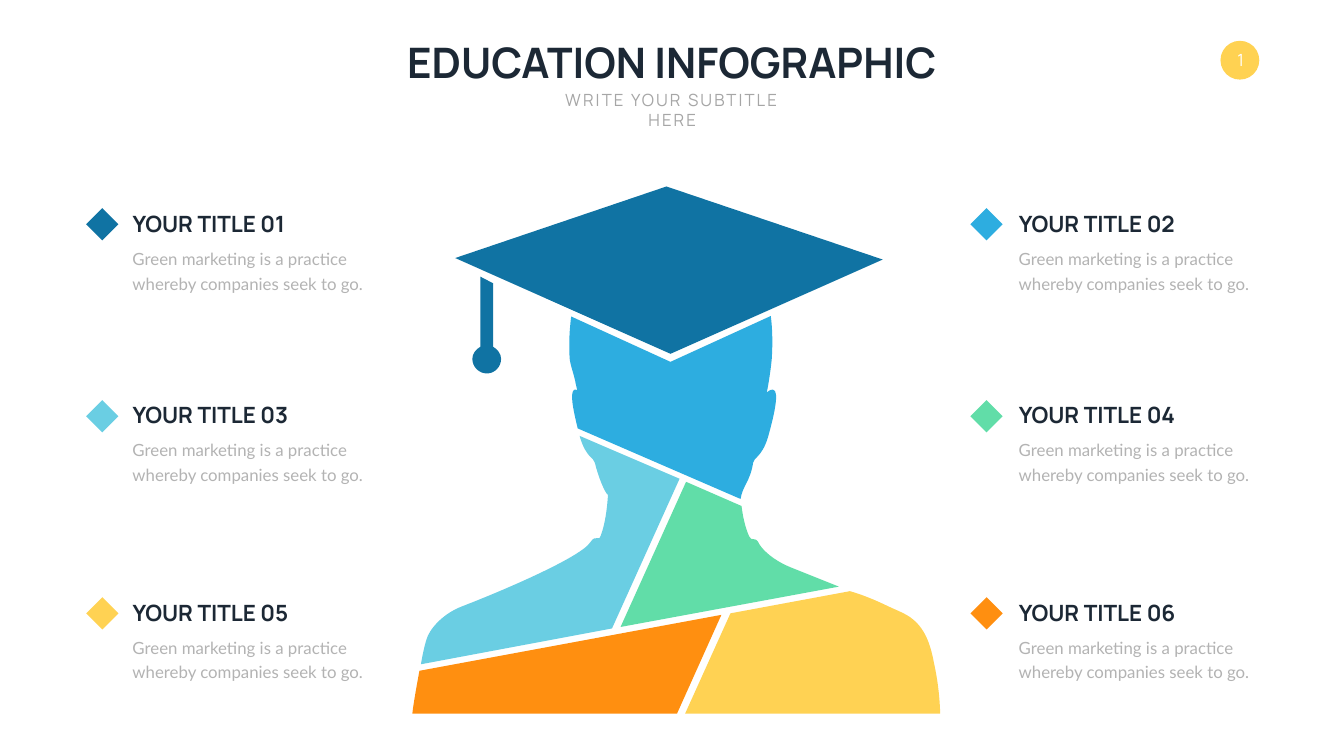
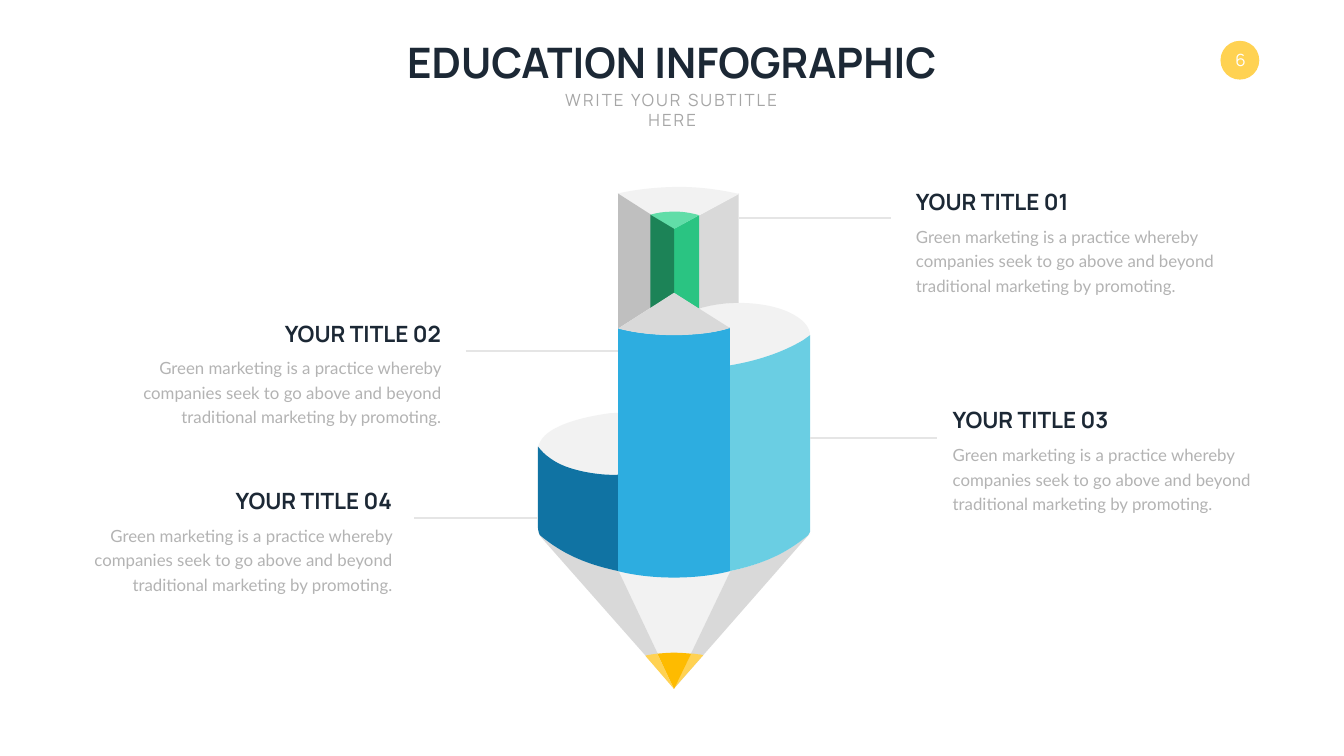
from lxml.etree import SubElement
from pptx import Presentation
from pptx.dml.color import RGBColor
from pptx.enum.shapes import MSO_CONNECTOR, MSO_SHAPE
from pptx.enum.text import MSO_ANCHOR, MSO_AUTO_SIZE, PP_ALIGN
from pptx.oxml.ns import qn
from pptx.util import Inches, Pt

COLOURS = {
    "navy": "1C2835", "subtitle": "A6A6A6", "body": "B3B3B3", "white": "FFFFFF",
    "badge": "FFD252", "rule": "E5E5E5",
    "blue": "1073A3", "sky": "2DADE0", "aqua": "6ACEE3", "mint": "61DDA8",
    "yellow": "FFD253", "orange": "FF8F10", "amber": "FEBB00",
    "green": "2AC482", "forest": "1C8357",
    "pale": "F2F2F2", "silver": "D9D9D9", "grey": "BFBFBF",
}

# Font values and colour for each level of text
STYLES = {
    "title": ({"name": "Manrope", "size": Pt(60), "bold": True}, "navy"),
    "subtitle": ({"name": "Manrope", "size": Pt(24)}, "subtitle"),
    "number": ({"name": "Manrope", "size": Pt(24)}, "white"),
    "heading": ({"name": "Manrope", "size": Pt(32), "bold": True}, "navy"),
    "body": ({"name": "Lato", "size": Pt(24)}, "body"),
}

SHORT_TEXT = "Green marketing is a practice whereby companies seek to go."
LONG_TEXT = ("Green marketing is a practice whereby companies seek to go above "
             "and beyond traditional marketing by promoting.")

# Outlines: a start point, then lines (x, y) and curves (x1, y1, x2, y2, x, y)
CAP = [(13.22, 3.7), (9.03, 5.12), (13.3, 7.02), (17.51, 5.15)]
TASSEL = [
    (9.53, 5.49), (9.53, 6.88), (9.44, 6.93, 9.37, 7.02, 9.37, 7.12),
    (9.37, 7.28, 9.5, 7.41, 9.66, 7.41), (9.81, 7.41, 9.94, 7.28, 9.94, 7.12),
    (9.94, 7.02, 9.87, 6.93, 9.78, 6.88), (9.78, 5.62),
]
FACE = [
    (15.29, 6.27), (13.3, 7.18), (11.33, 6.28),
    (11.3, 6.53, 11.28, 6.8, 11.3, 7.11), (11.31, 7.24, 11.4, 7.47, 11.42, 7.61),
    (11.43, 7.68, 11.44, 7.68, 11.45, 7.74), (11.44, 7.73, 11.38, 7.71, 11.36, 7.78),
    (11.32, 7.9, 11.39, 8.21, 11.46, 8.5), (14.69, 9.9),
    (14.73, 9.64, 14.88, 9.56, 14.94, 9.18), (14.95, 9.08, 15.11, 9.07, 15.23, 8.69),
    (15.34, 8.3, 15.48, 7.74, 15.33, 7.73), (15.32, 7.73, 15.3, 7.73, 15.28, 7.74),
    (15.26, 7.75, 15.23, 7.77, 15.21, 7.79), (15.24, 7.65, 15.29, 7.34, 15.31, 7.11),
    (15.33, 6.78, 15.32, 6.5, 15.29, 6.27),
]
LEFT_SHOULDER = [
    (11.5, 8.65), (11.51, 8.66, 11.51, 8.67, 11.51, 8.69),
    (11.63, 9.08, 11.78, 9.08, 11.8, 9.18), (11.87, 9.47, 12, 9.78, 12.06, 9.82),
    (12.06, 9.82, 12.04, 10.3, 11.92, 10.62),
    (11.87, 10.77, 11.83, 10.58, 11.71, 10.76),
    (11.53, 11.04, 10.15, 11.65, 9.17, 12.03), (8.77, 12.18, 8.51, 12.5, 8.46, 12.69),
    (8.42, 12.82, 8.38, 13, 8.35, 13.18), (12.14, 12.47), (13.48, 9.5),
]
RIGHT_SHOULDER = [
    (13.61, 9.56), (12.31, 12.44), (16.64, 11.64),
    (16.37, 11.53, 16.09, 11.42, 15.69, 11.26),
    (15.13, 11.03, 15.01, 10.7, 15.05, 10.77),
    (14.97, 10.63, 14.91, 10.76, 14.86, 10.64),
    (14.77, 10.44, 14.73, 10.2, 14.71, 10.04),
]
LEFT_CHEST = [
    (14.31, 12.2), (8.32, 13.31), (8.26, 13.64, 8.2, 13.97, 8.18, 14.16),
    (13.43, 14.16),
]
RIGHT_CHEST = [
    (16.86, 11.73), (14.49, 12.17), (13.59, 14.16), (18.65, 14.16),
    (18.64, 13.82, 18.6, 13.49, 18.53, 13.17),
    (18.47, 12.85, 18.38, 12.51, 18.11, 12.29),
    (17.98, 12.18, 17.81, 12.12, 17.64, 12.04),
    (17.41, 11.93, 17.17, 11.82, 16.86, 11.73),
]
STUDENT = [
    ("blue", [CAP, TASSEL]), ("sky", [FACE]), ("aqua", [LEFT_SHOULDER]),
    ("mint", [RIGHT_SHOULDER]), ("orange", [LEFT_CHEST]), ("yellow", [RIGHT_CHEST]),
]

# Pencil, from back to front
LEAD_BASE = [
    ("mint", [(13.44, 6.21), (13.25, 6.22, 13.07, 6.18, 12.89, 6.12), (13.37, 5.79),
              (13.88, 6.13), (13.74, 6.18, 13.59, 6.21, 13.44, 6.21)]),
]
CONE = [
    ("pale", [(12.26, 11.33), (12.98, 11.49, 13.77, 11.49, 14.49, 11.33),
              (13.38, 13.67)]),
    ("silver", [(16.07, 10.58), (13.38, 13.65), (14.49, 11.33),
                (14.91, 11.24, 15.32, 11.09, 15.67, 10.88),
                (15.81, 10.79, 15.94, 10.69, 16.07, 10.58)]),
    ("silver", [(10.68, 10.55), (10.69, 10.57, 10.69, 10.59, 10.7, 10.61),
                (10.72, 10.63, 10.73, 10.66, 10.75, 10.68), (13.37, 13.65),
                (12.27, 11.33), (12.06, 11.29, 11.84, 11.23, 11.64, 11.15),
                (11.44, 11.08, 11.25, 10.99, 11.08, 10.88),
                (10.93, 10.78, 10.8, 10.67, 10.68, 10.55)]),
]
TIP = [
    ("yellow", [(13.71, 12.97), (13.75, 12.97, 13.79, 12.97, 13.83, 12.98),
                (13.87, 12.98, 13.91, 12.99, 13.95, 13), (13.36, 13.67)]),
    ("amber", [(13.37, 12.95), (13.48, 12.95, 13.6, 12.96, 13.71, 12.97),
               (13.37, 13.67), (13.04, 12.97),
               (13.15, 12.96, 13.26, 12.95, 13.37, 12.95)]),
    ("yellow", [(13.04, 12.97), (13.37, 13.67), (12.8, 13.01),
                (12.88, 12.99, 12.96, 12.98, 13.04, 12.97)]),
]
LEFT_COLUMN = [
    ("pale", [(12.09, 8.2), (12.15, 8.2, 12.21, 8.19, 12.27, 8.19), (12.27, 9.45),
              (12.26, 9.45), (12.26, 9.42), (12.02, 9.43, 11.77, 9.4, 11.54, 9.35),
              (11.32, 9.3, 11.1, 9.23, 10.91, 9.09),
              (10.82, 9.03, 10.74, 8.95, 10.67, 8.87),
              (10.72, 8.7, 10.85, 8.57, 11.09, 8.46),
              (11.37, 8.33, 11.73, 8.25, 12.09, 8.2)]),
    ("blue", [(10.67, 8.86), (10.74, 8.95, 10.82, 9.03, 10.91, 9.09),
              (11.1, 9.23, 11.32, 9.3, 11.54, 9.35),
              (11.77, 9.4, 12.02, 9.43, 12.26, 9.42), (12.26, 11.33),
              (11.83, 11.24, 11.42, 11.1, 11.07, 10.88),
              (10.94, 10.8, 10.82, 10.71, 10.71, 10.62),
              (10.7, 10.6, 10.7, 10.59, 10.69, 10.57),
              (10.68, 10.54, 10.67, 10.5, 10.67, 10.46)]),
]
RIGHT_COLUMN = [
    ("pale", [(14.65, 6.01), (15.02, 6.01, 15.38, 6.07, 15.66, 6.2),
              (15.93, 6.33, 16.07, 6.49, 16.07, 6.66),
              (16.02, 6.69, 15.98, 6.73, 15.93, 6.76),
              (15.51, 7.01, 15, 7.17, 14.47, 7.26), (14.47, 6.51),
              (14.44, 6.52, 14.4, 6.54, 14.36, 6.55),
              (14.05, 6.62, 13.64, 6.66, 13.24, 6.65),
              (13.24, 6.49, 13.38, 6.32, 13.65, 6.2),
              (13.93, 6.07, 14.29, 6.01, 14.65, 6.01)]),
    ("aqua", [(16.07, 6.65), (16.07, 10.46),
              (16.07, 10.49, 16.08, 10.52, 16.07, 10.55),
              (16.06, 10.58, 16.05, 10.6, 16.03, 10.62),
              (15.92, 10.71, 15.8, 10.8, 15.67, 10.88),
              (15.32, 11.1, 14.91, 11.24, 14.48, 11.33), (14.48, 7.25),
              (15.01, 7.16, 15.51, 7, 15.93, 6.75),
              (15.98, 6.72, 16.02, 6.68, 16.07, 6.65)]),
]
TOP_COLUMN = [
    ("silver", [(14.65, 3.84), (14.65, 6.01), (14.29, 6.01, 13.93, 6.08, 13.65, 6.2),
                (13.53, 6.26, 13.44, 6.32, 13.37, 6.39), (13.37, 4.55)]),
    ("pale", [(12.25, 3.84), (12.61, 3.76, 12.98, 3.72, 13.36, 3.71),
              (13.79, 3.7, 14.23, 3.75, 14.66, 3.85), (13.36, 4.55)]),
    ("grey", [(12.26, 3.84), (13.37, 4.55), (13.37, 5.81), (12.26, 6.52)]),
]
LEAD = [
    ("green", [(13.87, 4.27), (13.87, 6.13), (13.37, 5.81), (13.37, 4.54)]),
    ("mint", [(13.32, 4.2), (13.51, 4.19, 13.69, 4.22, 13.87, 4.27), (13.36, 4.55),
              (12.9, 4.26), (13.04, 4.22, 13.18, 4.2, 13.32, 4.2)]),
    ("forest", [(12.9, 4.26), (12.9, 6.12), (13.37, 5.81), (13.37, 4.54)]),
]
FRONT_COLUMN = [
    ("sky", [(14.48, 6.5), (14.48, 11.33), (14.47, 11.33, 14.46, 11.34, 14.45, 11.34),
             (13.8, 11.5, 12.94, 11.5, 12.29, 11.34),
             (12.28, 11.34, 12.27, 11.33, 12.26, 11.33), (12.26, 6.51),
             (12.29, 6.52, 12.32, 6.53, 12.36, 6.54),
             (12.92, 6.68, 13.82, 6.68, 14.37, 6.54),
             (14.41, 6.53, 14.44, 6.52, 14.48, 6.5)]),
    ("silver", [(12.26, 6.52), (12.62, 6.61, 13, 6.65, 13.37, 6.65),
                (13.56, 6.65, 13.74, 6.64, 13.93, 6.62),
                (14.12, 6.6, 14.3, 6.56, 14.48, 6.51), (13.37, 5.81)]),
]
PENCIL = (LEAD_BASE + CONE + TIP + LEFT_COLUMN + RIGHT_COLUMN + TOP_COLUMN + LEAD
          + FRONT_COLUMN)


def rgb(name):
    return RGBColor.from_string(COLOURS[name])


def paint(shape, colour):
    shape.shadow.inherit = False
    shape.fill.solid()
    shape.fill.fore_color.rgb = rgb(colour)
    shape.line.fill.background()


def write(shape, text, style, align=PP_ALIGN.LEFT, line_spacing=None, **frame_format):
    frame = shape.text_frame
    frame_values = {"auto_size": MSO_AUTO_SIZE.NONE, "word_wrap": True,
                    "vertical_anchor": MSO_ANCHOR.TOP, **frame_format}
    for key, value in frame_values.items():
        setattr(frame, key, value)
    frame.text = text
    paragraph = frame.paragraphs[0]
    paragraph.alignment = align
    paragraph.line_spacing = line_spacing
    font_values, colour = STYLES[style]
    font = paragraph.runs[0].font
    for key, value in font_values.items():
        setattr(font, key, value)
    font.color.rgb = rgb(colour)
    return paragraph.runs[0]


def add_label(slide, box, text, style, **options):
    label = slide.shapes.add_textbox(*map(Inches, box))
    return write(label, text, style, **options)


def add_preset(slide, preset, box, colour):
    shape = slide.shapes.add_shape(preset, *map(Inches, box))
    paint(shape, colour)


def bend(shape, segments):
    """Turn the straight segments that have control points into Bézier curves."""
    lines = list(shape._element.iter(qn("a:lnTo")))
    for line, (*controls, _, _) in zip(lines, segments):
        if not controls:
            continue
        end = line[0]
        for x, y in zip(controls[::2], controls[1::2]):
            SubElement(line, qn("a:pt"), x=str(Inches(x) - shape.left),
                       y=str(Inches(y) - shape.top))
        line.append(end)
        line.tag = qn("a:cubicBezTo")


def add_outline(shapes, colour, outlines):
    builder = shapes.build_freeform(*map(Inches, outlines[0][0]))
    for index, (start, *segments) in enumerate(outlines):
        if index:
            builder.move_to(*map(Inches, start))
        builder.add_line_segments(
            [tuple(map(Inches, segment[-2:])) for segment in segments + [start]]
            if segments[-1][-2:] != start else
            [tuple(map(Inches, segment[-2:])) for segment in segments], close=True)
    shape = builder.convert_to_shape()
    # A closing line back to the start is straight
    bend(shape, [segment for start, *segments in outlines
                 for segment in segments + [start] * (segments[-1][-2:] != start)])
    paint(shape, colour)


def add_rule(slide, left, right, y):
    rule = slide.shapes.add_connector(
        MSO_CONNECTOR.STRAIGHT, Inches(left), Inches(y), Inches(right), Inches(y))
    rule.line.color.rgb = rgb("rule")
    rule.line.width = Pt(3)
    SubElement(rule._element.spPr, qn("a:effectLst"))


def add_item(slide, edge, top, number, text, width, align=PP_ALIGN.LEFT):
    """Heading over body text; edge is the side the text is aligned to."""
    def start(box_width):
        return edge - box_width if align == PP_ALIGN.RIGHT else edge

    add_label(slide, (start(3.35), top, 3.35, 0.64), f"YOUR TITLE {number:02}", "heading",
              align=align, vertical_anchor=MSO_ANCHOR.MIDDLE)
    height = 1.03 if text == SHORT_TEXT else 1.52
    add_label(slide, (start(width), top + 0.68, width, height), text, "body",
              align=align, line_spacing=Pt(35))


def start_slide(deck, number):
    """Title, subtitle and page badge shared by all slides."""
    slide = deck.slides.add_slide(deck.slide_layouts[5])
    add_preset(slide, MSO_SHAPE.OVAL, (24.21, 0.81, 0.77, 0.77), "badge")
    add_label(slide, (24.21, 0.79, 0.8, 0.8), str(number), "number",
              align=PP_ALIGN.CENTER, vertical_anchor=MSO_ANCHOR.MIDDLE)
    title = slide.shapes.title
    title.left, title.top, title.width, title.height = map(
        Inches, (7.73, 0.67, 11.19, 1.11))
    write(title, "EDUCATION INFOGRAPHIC", "title", PP_ALIGN.CENTER, word_wrap=False)
    subtitle = add_label(slide, (10.62, 1.73, 5.43, 0.5), "WRITE YOUR SUBTITLE HERE",
                         "subtitle", align=PP_ALIGN.CENTER)
    subtitle.font._element.set("spc", "300")
    return slide


def build_student_slide(deck):
    slide = start_slide(deck, 1)
    student = slide.shapes.add_group_shape()
    for colour, outlines in STUDENT:
        add_outline(student.shapes, colour, outlines)

    # Three rows of two items, each with a diamond
    markers = ["blue", "sky", "aqua", "mint", "yellow", "orange"]
    for index, colour in enumerate(markers):
        row, column = divmod(index, 2)
        diamond_top, text_top = ((4.13, 4.12), (7.94, 7.91), (11.85, 11.83))[row]
        diamond_left, text_left = ((1.71, 2.53), (19.25, 20.11))[column]
        add_preset(slide, MSO_SHAPE.DIAMOND, (diamond_left, diamond_top, 0.64, 0.64), colour)
        add_item(slide, text_left, text_top, index + 1, SHORT_TEXT, 4.9)


def build_pencil_slide(deck):
    slide = start_slide(deck, 6)
    for colour, outline in PENCIL:
        add_outline(slide.shapes, colour, [outline])

    # Leader lines and the items they point to
    for rule in [(16.07, 18.58, 8.69), (14.66, 17.68, 4.32),
                 (8.22, 10.67, 10.28), (9.24, 12.26, 6.97)]:
        add_rule(slide, *rule)
    for number, edge, top, align in [(1, 18.07, 3.68, PP_ALIGN.LEFT),
                                     (2, 8.85, 6.29, PP_ALIGN.RIGHT),
                                     (3, 18.8, 8.01, PP_ALIGN.LEFT),
                                     (4, 7.88, 9.61, PP_ALIGN.RIGHT)]:
        add_item(slide, edge, top, number, LONG_TEXT, 6.2, align)


def main():
    deck = Presentation()
    deck.slide_width, deck.slide_height = Inches(26.66), Inches(15)
    build_student_slide(deck)
    build_pencil_slide(deck)
    deck.save("out.pptx")


if __name__ == "__main__":
    main()
